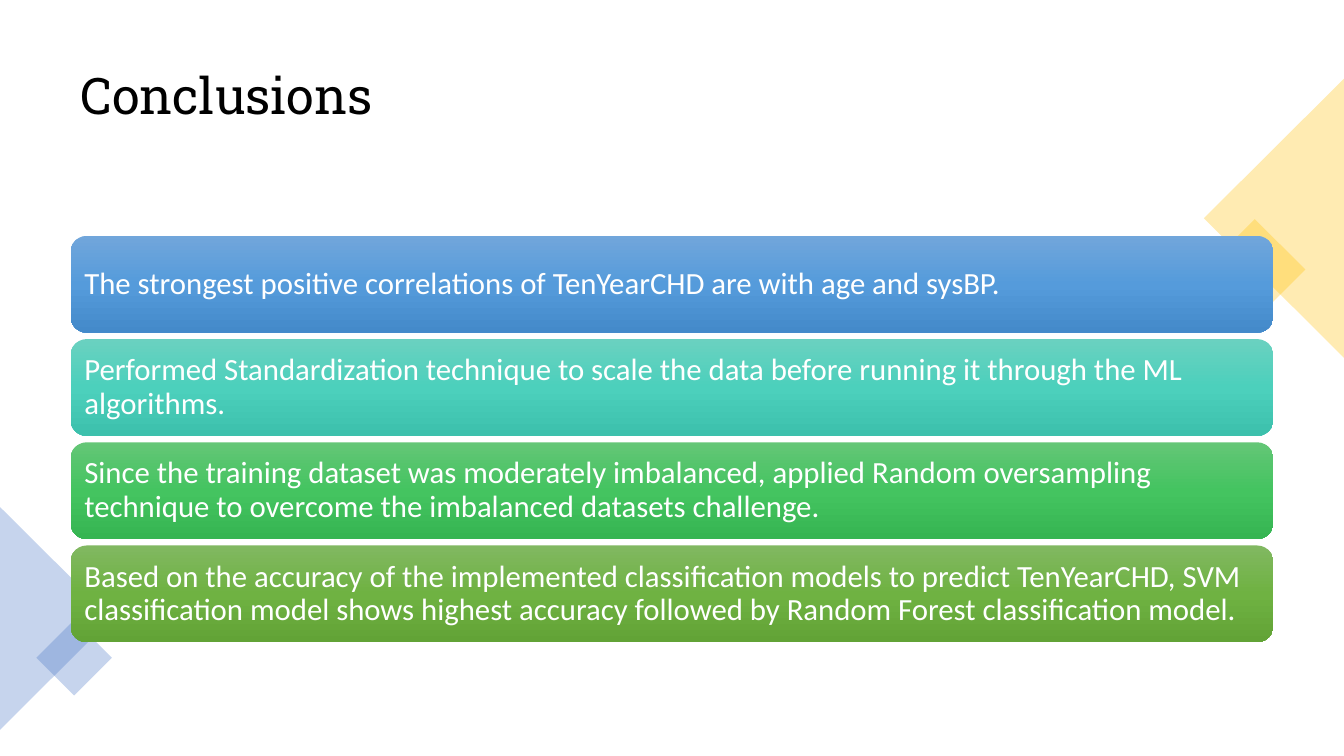
import copy
from dataclasses import dataclass

import pptx
import pptx.dml.color
import pptx.dml.fill
import pptx.enum.shapes
import pptx.enum.text
import pptx.oxml
import pptx.oxml.ns
import pptx.shapes.autoshape
import pptx.slide
import pptx.text.text
import pptx.util

Inches = pptx.util.Inches
MSO_SHAPE = pptx.enum.shapes.MSO_SHAPE
qn = pptx.oxml.ns.qn

LEFT, WIDTH = 0.7, 11.93
CARD_TOP, CARD_HEIGHT, CARD_STEP = 2.34, 0.96, 1.024


@dataclass
class Ornament:
    preset: MSO_SHAPE
    left: float
    top: float
    width: float
    height: float
    rotation: float
    color: str


@dataclass
class Conclusion:
    wording: str
    gradient: tuple[str, str, str]


ORNAMENTS = [
    Ornament(MSO_SHAPE.RECTANGLE, 12.09, 2.32, 0.71, 0.71, 45, "FFC000"),
    Ornament(MSO_SHAPE.ISOSCELES_TRIANGLE, 11.25, 1.47, 2.77, 1.39, 270, "FFC000"),
    Ornament(MSO_SHAPE.ISOSCELES_TRIANGLE, -0.55, 5.58, 2.21, 1.11, 90, "4472C4"),
    Ornament(MSO_SHAPE.RECTANGLE, 0.47, 6.26, 0.53, 0.53, 45, "4472C4"),
]

CONCLUSIONS = [
    Conclusion(
        "The strongest positive correlations of TenYearCHD are with age and sysBP.",
        ("71A6DB", "559BDB", "448ACA"),
    ),
    Conclusion(
        "Performed Standardization technique to scale the data before running it "
        "through the ML algorithms.",
        ("6AD1C0", "4CD0BC", "3CC0AC"),
    ),
    Conclusion(
        "Since the training dataset was moderately imbalanced, applied Random "
        "oversampling technique to overcome the imbalanced datasets challenge.",
        ("64C677", "44C460", "36B552"),
    ),
    Conclusion(
        "Based on the accuracy of the implemented classification models to predict "
        "TenYearCHD, SVM classification model shows highest accuracy followed by "
        "Random Forest classification model.",
        ("81B861", "6FB242", "62A336"),
    ),
]


def rgb(color: str) -> pptx.dml.color.RGBColor:
    return pptx.dml.color.RGBColor.from_string(color)


def write(frame: pptx.text.text.TextFrame, wording: str, font: str, size: float, color: str) -> None:
    """Fill a frame with one left-aligned, vertically centred paragraph."""
    frame.text = wording
    frame.word_wrap = True
    frame.auto_size = pptx.enum.text.MSO_AUTO_SIZE.NONE
    frame.vertical_anchor = pptx.enum.text.MSO_ANCHOR.MIDDLE
    paragraph = frame.paragraphs[0]
    paragraph.alignment = pptx.enum.text.PP_ALIGN.LEFT
    paragraph.line_spacing = 0.9
    run_font = paragraph.runs[0].font
    run_font.name = font
    run_font.size = pptx.util.Pt(size)
    run_font.color.rgb = rgb(color)


def add_plain_shape(
    slide: pptx.slide.Slide, preset: MSO_SHAPE, left: float, top: float, width: float, height: float
) -> pptx.shapes.autoshape.Shape:
    shape = slide.shapes.add_shape(preset, Inches(left), Inches(top), Inches(width), Inches(height))
    shape.shadow.inherit = False
    shape.line.fill.background()
    return shape


def add_ornament(slide: pptx.slide.Slide, ornament: Ornament) -> None:
    shape = add_plain_shape(
        slide, ornament.preset, ornament.left, ornament.top, ornament.width, ornament.height
    )
    shape.rotation = ornament.rotation
    shape.fill.solid()
    shape.fill.fore_color.rgb = rgb(ornament.color)
    color_element = shape.element.spPr.find(".//" + qn("a:srgbClr"))
    alpha = pptx.oxml.parse_xml(
        '<a:alpha xmlns:a="http://schemas.openxmlformats.org/drawingml/2006/main" val="30000"/>'
    )
    color_element.append(alpha)


def fill_downward(shape: pptx.shapes.autoshape.Shape, colors: tuple[str, str, str]) -> None:
    """Apply an evenly spaced three-colour gradient from top to bottom."""
    shape.fill.gradient()
    shape.fill.gradient_angle = 270
    stop_list = shape.element.spPr.find(".//" + qn("a:gsLst"))
    stop_list.append(copy.deepcopy(stop_list[0]))
    for index, (stop, color) in enumerate(zip(shape.fill.gradient_stops, colors)):
        stop.position = index / 2
        stop.color.rgb = rgb(color)


def add_card(slide: pptx.slide.Slide, conclusion: Conclusion, top: float) -> None:
    card = add_plain_shape(slide, MSO_SHAPE.ROUNDED_RECTANGLE, LEFT, top, WIDTH, CARD_HEIGHT)
    fill_downward(card, conclusion.gradient)
    frame = card.text_frame
    frame.margin_left = frame.margin_right = Inches(0.09)
    frame.margin_top = frame.margin_bottom = Inches(0.09)
    write(frame, conclusion.wording, "Calibri", 22, "FFFFFF")


def main() -> None:
    presentation = pptx.Presentation()
    presentation.slide_width = Inches(13.33)
    presentation.slide_height = Inches(7.5)
    slide = presentation.slides.add_slide(presentation.slide_layouts.get_by_name("Title Only"))

    title = slide.shapes.title
    title.left, title.top = Inches(LEFT), Inches(0.35)
    title.width, title.height = Inches(WIDTH), Inches(1.24)
    write(title.text_frame, "Conclusions", "Roboto Slab", 36, "000000")

    for ornament in ORNAMENTS:
        add_ornament(slide, ornament)
    for row, conclusion in enumerate(CONCLUSIONS):
        add_card(slide, conclusion, CARD_TOP + row * CARD_STEP)

    presentation.save("out.pptx")


if __name__ == "__main__":
    main()
